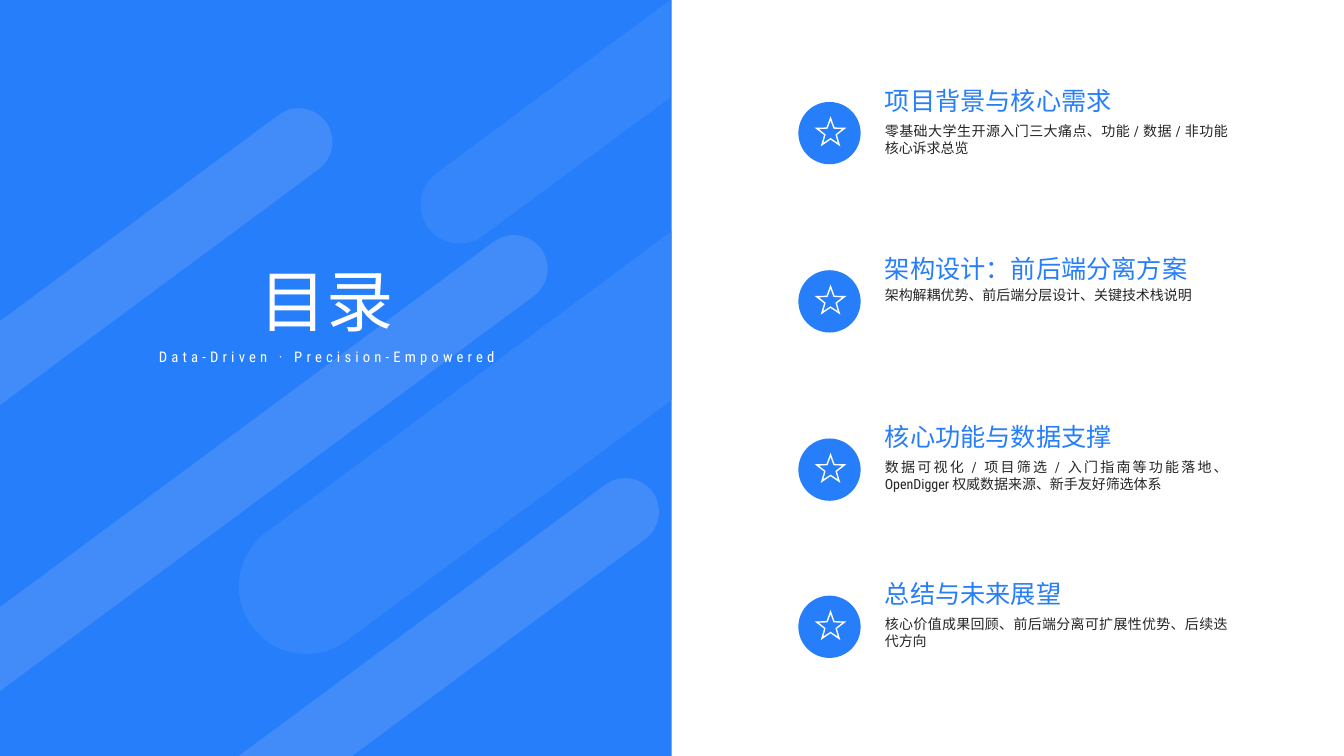
from math import cos, sin, radians

from lxml import etree
from pptx import Presentation
from pptx import util as u
from pptx.dml.color import RGBColor
from pptx.enum import shapes, text
from pptx.oxml.ns import qn
from pptx.util import Cm

BLUE, BAND, WHITE, INK = "267EFA", "438DFB", "FFFFFF", "262626"
LATIN, HAN = "Roboto Condensed", "Noto Sans CJK SC"
TILT = 53.5

# Top of each heading, heading width, heading, description
CHAPTERS = [
    (2.01, 6.22, "项目背景与核心需求",
     "零基础大学生开源入门三大痛点、功能 / 数据 / 非功能核心诉求总览"),
    (6.25, 8.13, "架构设计：前后端分离方案",
     "架构解耦优势、前后端分层设计、关键技术栈说明"),
    (10.49, 6.22, "核心功能与数据支撑",
     "数据可视化 / 项目筛选 / 入门指南等功能落地、OpenDigger 权威数据来源、新手友好筛选体系"),
    (14.45, 4.95, "总结与未来展望",
     "核心价值成果回顾、前后端分离可扩展性优势、后续迭代方向"),
]


def paint(shape, color, opacity=100):
    shape.shadow.inherit = False
    shape.line.fill.background()
    shape.fill.solid()
    shape.fill.fore_color.rgb = RGBColor.from_string(color)
    if opacity < 100:
        rgb = shape.fill._xPr.find(".//" + qn("a:srgbClr"))
        etree.SubElement(rgb, qn("a:alpha"), val=str(opacity * 1000))
    return shape


def add_preset(slide, preset, box, color, opacity=100):
    shape = slide.shapes.add_shape(preset, *map(Cm, box))
    return paint(shape, color, opacity)


def add_outline(slide, contours, color, opacity=100):
    """Fill one or more closed contours, given as points in cm."""
    contours = [[(Cm(x), Cm(y)) for x, y in points] for points in contours]
    builder = slide.shapes.build_freeform(*contours[0][0], scale=1.0)
    for number, points in enumerate(contours):
        if number:
            builder.move_to(*points[0])
        builder.add_line_segments(points[1:], close=True)
    return paint(builder.convert_to_shape(), color, opacity)


def add_capsule(slide, box):
    capsule = add_preset(slide, shapes.MSO_SHAPE.ROUNDED_RECTANGLE, box, BAND, 98)
    capsule.adjustments[0] = 0.5
    capsule.rotation = TILT


def add_cut_band(slide, edge, upper, lower, center, radius):
    """A slanted band with a round lower end, cut off at the panel's edge."""
    cx, cy = center
    angles = [radians(TILT + 5 * step) for step in range(37)]
    end = [(cx + radius * cos(a), cy + radius * sin(a)) for a in angles]
    add_outline(slide, [[(edge, upper), (edge, lower)] + end], BAND, 54)


def star_points(cx, cy, outer, inner):
    points = []
    for step in range(10):
        radius = inner if step % 2 else outer
        angle = radians(36 * step - 90)
        points.append((cx + radius * cos(angle), cy + radius * sin(angle)))
    return points


def add_text(slide, box, words, size, color, font=LATIN, align=None, wrap=True,
             anchor=text.MSO_ANCHOR.TOP, insets=None, spacing=None, tracking=None):
    frame = slide.shapes.add_textbox(*map(Cm, box)).text_frame
    frame.word_wrap = wrap
    frame.auto_size = text.MSO_AUTO_SIZE.SHAPE_TO_FIT_TEXT
    frame.vertical_anchor = anchor
    if insets:
        frame.margin_left = frame.margin_right = Cm(insets[0])
        frame.margin_top = frame.margin_bottom = Cm(insets[1])
    paragraph = frame.paragraphs[0]
    paragraph.alignment = align
    paragraph.line_spacing = spacing
    run = paragraph.add_run()
    run.text = words
    paragraph.font.name = font
    paragraph.font.size = u.Pt(size)
    paragraph.font.color.rgb = RGBColor.from_string(color)
    run_style = run._r.get_or_add_rPr()
    etree.SubElement(run_style, qn("a:ea"), typeface=HAN)
    if tracking:
        run_style.set("spc", str(tracking * 100))


def add_panel(slide):
    add_preset(slide, shapes.MSO_SHAPE.RECTANGLE, (0, 0, 16.93, 19.05), BLUE)
    # Slanted bands
    add_capsule(slide, (3.78, 1.73, 1.7, 22.4))
    add_cut_band(slide, 16.93, 5.82, 10.08, (7.72, 14.78), 1.7)
    add_cut_band(slide, 16.89, 0, 2.46, (11.58, 5.16), 0.98)
    add_capsule(slide, (10.21, 9.68, 1.7, 13.39))
    add_capsule(slide, (1.98, 0.36, 1.7, 13.39))
    # Title and motto
    center = text.PP_ALIGN.CENTER
    add_text(slide, (2.95, 6.4, 10.57, 2.31), "目录", 48, WHITE, font=HAN, align=center)
    add_text(slide, (0.56, 8.43, 15.37, 0.91), "Data-Driven · Precision-Empowered",
             10.5, WHITE, align=center, spacing=1.5, tracking=3)


def add_chapter(slide, top, width, heading, description):
    add_text(slide, (21.69, top + 0.76, 9.86, 1.45), description, 10, INK,
             align=text.PP_ALIGN.JUSTIFY, insets=(0.61, 0.31))
    add_text(slide, (22.05, top, width, 1.02), heading, 18, BLUE,
             wrap=False, anchor=text.MSO_ANCHOR.MIDDLE)
    # Badge with a hollow star
    add_preset(slide, shapes.MSO_SHAPE.OVAL, (20.12, top + 0.56, 1.57, 1.57), BLUE)
    star_center = (20.93, top + 1.34)
    add_outline(slide, [star_points(*star_center, 0.42, 0.17),
                        star_points(*star_center, 0.31, 0.13)], WHITE)


def main():
    deck = Presentation()
    deck.slide_width, deck.slide_height = Cm(33.87), Cm(19.05)
    contents = deck.slides.add_slide(deck.slide_layouts[6])
    add_panel(contents)
    for chapter in CHAPTERS:
        add_chapter(contents, *chapter)
    deck.save("out.pptx")


if __name__ == "__main__":
    main()
